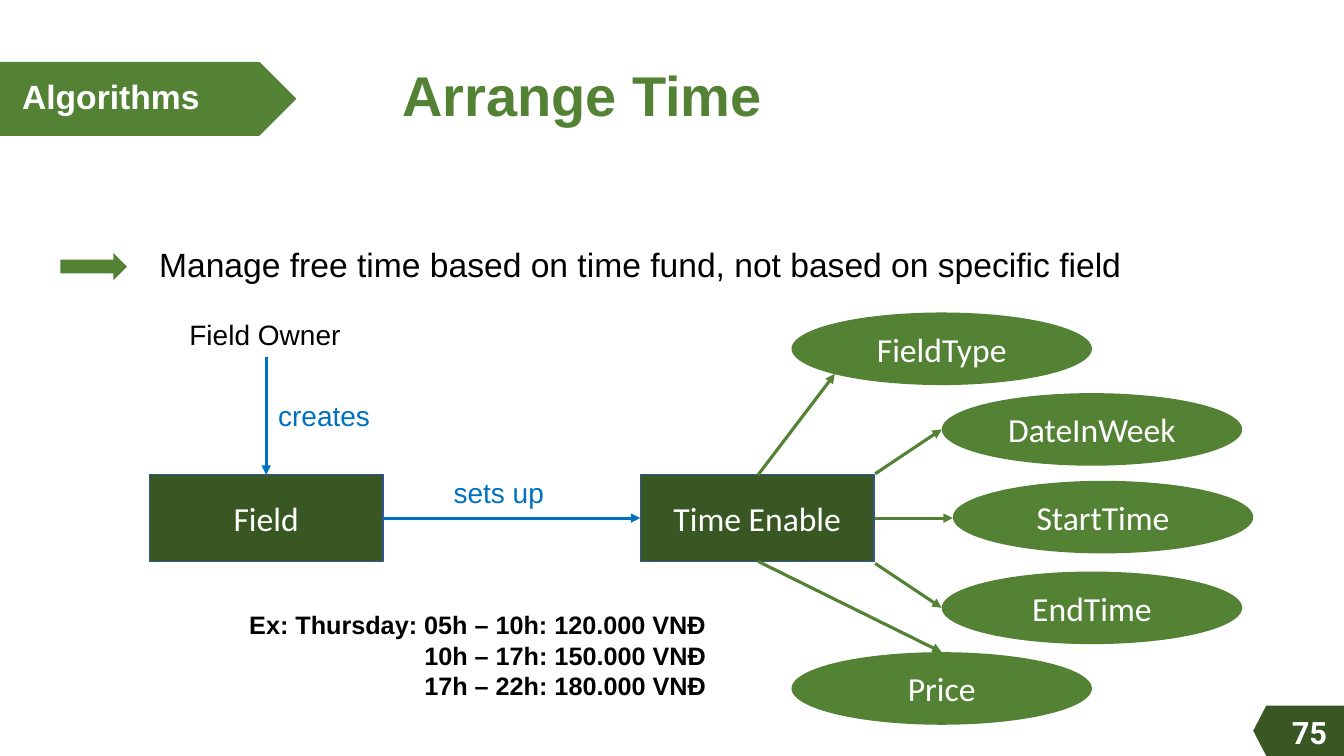
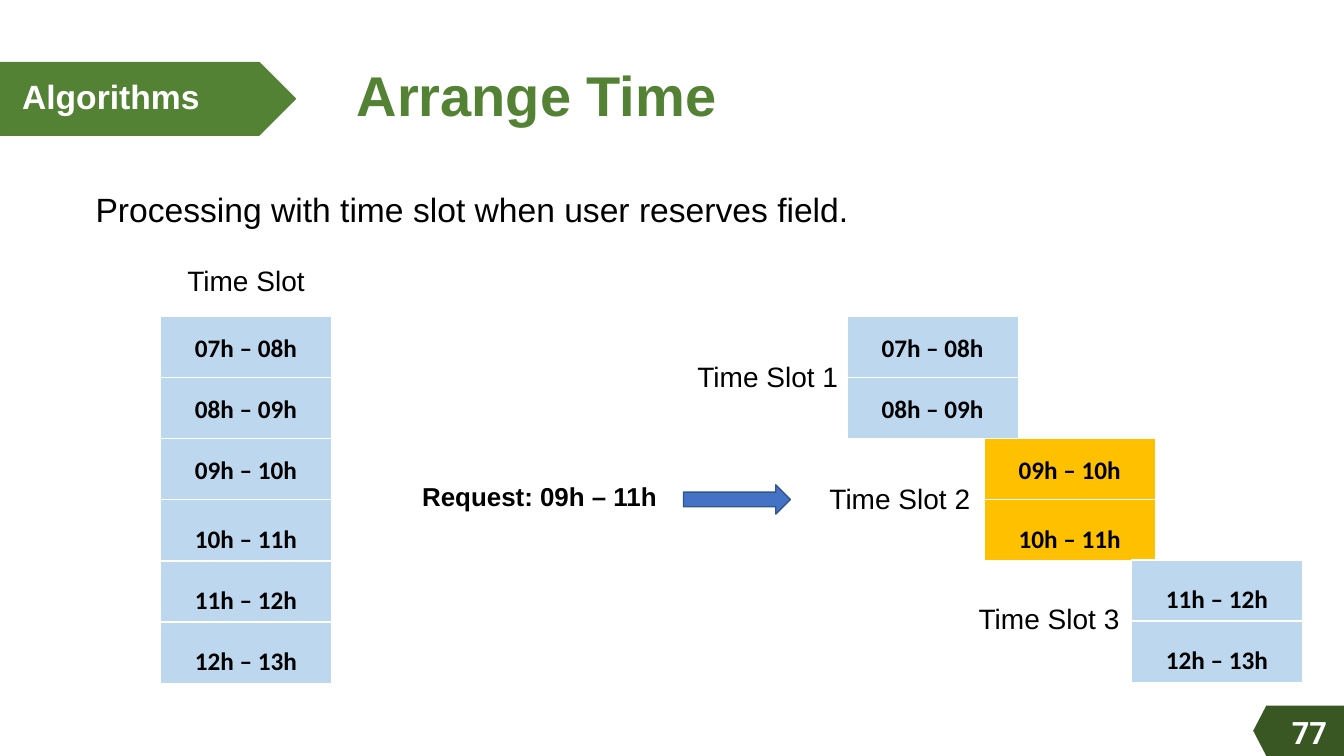
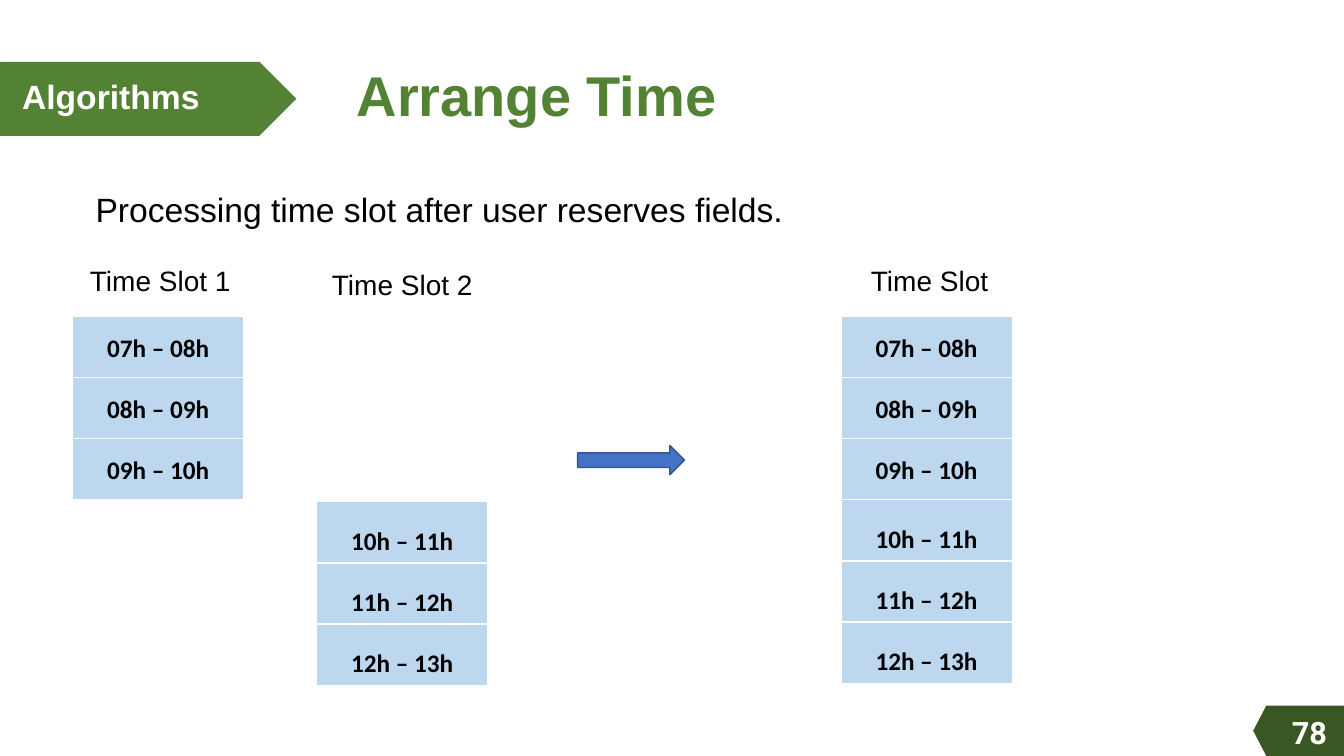
"""Build three slides on arranging time slots for field reservations."""
from pptx import Presentation
from pptx.dml.color import RGBColor
from pptx.enum.shapes import MSO_CONNECTOR, MSO_SHAPE
from pptx.enum.text import MSO_ANCHOR, PP_ALIGN
from pptx.oxml.ns import qn
from pptx.util import Inches, Pt
from lxml.etree import SubElement

GREEN, DARK, EDGE = "548235", "385723", "325491"
BLUE, ARROW_BLUE = "0070C0", "4472C4"
SLOT, BOOKED = "BDD7EE", "FFC000"
WHITE, BLACK = "FFFFFF", "000000"
FIRST_HOUR = 7
SLOT_TOP, SLOT_W, SLOT_H = 3.14, 1.7, 0.61
SLOT_PITCH = 3.03 / 5


def rgb(value):
    return RGBColor.from_string(value)


def write(sp, lines, size, color=BLACK, font="Arial", bold=False,
          align=PP_ALIGN.LEFT, anchor=MSO_ANCHOR.MIDDLE, spacing=None, wrap=True):
    tf = sp.text_frame
    tf.word_wrap = wrap
    tf.vertical_anchor = anchor
    tf.text = lines
    for p in tf.paragraphs:
        p.alignment = align
        p.line_spacing = spacing
        p.font.size = Pt(size)
        p.font.name = font
        p.font.bold = bold
        p.font.color.rgb = rgb(color)


def add_text(s, box, lines, size, **style):
    sp = s.shapes.add_textbox(*map(Inches, box))
    write(sp, lines, size, **style)


def paint(sp, fill, line=None):
    sp.shadow.inherit = False
    sp.fill.solid()
    sp.fill.fore_color.rgb = rgb(fill)
    if line:
        sp.line.color.rgb = rgb(line)
        sp.line.width = Pt(1)
    else:
        sp.line.fill.background()


def add_box(s, kind, box, fill, line=None):
    sp = s.shapes.add_shape(kind, *map(Inches, box))
    paint(sp, fill, line)
    return sp


def add_node(s, kind, box, label, fill, line=None):
    sp = add_box(s, kind, box, fill, line)
    write(sp, label, 24, color=WHITE, font="Calibri", align=PP_ALIGN.CENTER)


def add_arrow(s, start, end, color):
    cxn = s.shapes.add_connector(MSO_CONNECTOR.STRAIGHT, *map(Inches, start + end))
    cxn.line.color.rgb = rgb(color)
    cxn.line.width = Pt(2.25)
    SubElement(cxn.line._get_or_add_ln(), qn("a:tailEnd"), type="triangle")
    SubElement(cxn._element.spPr, qn("a:effectLst"))


def add_caption(s, left, top, text, width=SLOT_W, size=20, bold=False):
    add_text(s, (left, top, width, SLOT_H), text, size, bold=bold,
             align=PP_ALIGN.CENTER, spacing=0.9)


def add_slots(s, left, start, end, fill=SLOT, shift=0):
    for hour in range(start, end):
        top = SLOT_TOP + shift + (hour - FIRST_HOUR) * SLOT_PITCH
        sp = add_box(s, MSO_SHAPE.RECTANGLE, (left, top, SLOT_W, SLOT_H), fill, WHITE)
        write(sp, f"{hour:02}h – {hour + 1:02}h", 18, font="Calibri", bold=True,
              align=PP_ALIGN.CENTER)
        if hour >= 10:
            sp.text_frame.margin_top = Inches(0.21)


def add_statement(s, left, top, width, text):
    add_text(s, (left, top, width, 0.72), text, 24, spacing=0.9)


def add_block_arrow(s, left, top):
    add_box(s, MSO_SHAPE.RIGHT_ARROW, (left, top, 1.06, 0.29), ARROW_BLUE, EDGE)


def add_slide(prs, number, title_left):
    s = prs.slides.add_slide(prs.slide_layouts[6])
    tab = s.shapes.build_freeform(Inches(12.56), Inches(7), scale=1.0)
    corners = [(13.33, 7), (13.33, 7.5), (12.56, 7.5), (12.43, 7.25)]
    tab.add_line_segments([(Inches(x), Inches(y)) for x, y in corners], close=True)
    paint(tab.convert_to_shape(), DARK)
    add_text(s, (12.65, 7.03, 0.61, 0.47), str(number), 22, color=WHITE,
             font="Roboto", bold=True, align=PP_ALIGN.RIGHT, anchor=MSO_ANCHOR.TOP)
    banner = add_box(s, MSO_SHAPE.PENTAGON, (0, 0.62, 2.93, 0.72), GREEN, "538035")
    write(banner, "Algorithms", 24, color=WHITE, bold=True, spacing=0.9)
    banner.text_frame.margin_left = Inches(0.22)
    add_text(s, (title_left, 0.51, 7.26, 0.93), "Arrange Time", 40, color=GREEN,
             bold=True, spacing=0.9)
    return s


def build_model(prs):
    s = add_slide(prs, 75, 3.89)
    add_box(s, MSO_SHAPE.RIGHT_ARROW, (0.6, 2.51, 0.66, 0.27), GREEN)
    add_statement(s, 1.48, 2.28, 10.17,
                  "Manage free time based on time fund, not based on specific field")
    for left, label in [(1.48, "Field"), (6.35, "Time Enable")]:
        add_node(s, MSO_SHAPE.RECTANGLE, (left, 4.71, 2.32, 0.86), label, DARK, EDGE)
    attributes = [
        (7.85, 3.1, "FieldType", (7.52, 4.71), (8.28, 3.71)),
        (9.34, 3.9, "DateInWeek", (8.68, 4.7), (9.34, 4.26)),
        (9.45, 4.77, "StartTime", (8.68, 5.14), (9.45, 5.14)),
        (9.34, 5.67, "EndTime", (8.68, 5.59), (9.34, 6.03)),
        (7.85, 6.47, "Price", (7.52, 5.57), (9.34, 6.47)),
    ]
    for left, top, label, start, end in attributes:
        add_node(s, MSO_SHAPE.OVAL, (left, top, 2.98, 0.72), label, GREEN)
        add_arrow(s, start, end, GREEN)
    add_arrow(s, (2.64, 3.54), (2.64, 4.71), BLUE)
    add_arrow(s, (3.8, 5.14), (6.35, 5.14), BLUE)
    labels = [
        (1.78, 3.1, 1.71, "Field Owner", BLACK),
        (2.66, 3.9, 1.12, "creates", BLUE),
        (4.4, 4.67, 1.1, "sets up", BLUE),
    ]
    for left, top, width, text, color in labels:
        add_text(s, (left, top, width, 0.44), text, 20, color=color,
                 anchor=MSO_ANCHOR.TOP, wrap=False)
    prices = ["Ex: Thursday: 05h – 10h: 120.000 VNĐ",
              "10h – 17h: 150.000 VNĐ", "17h – 22h: 180.000 VNĐ"]
    add_text(s, (2.36, 6, 4.74, 1.01), "\n".join(prices), 18, bold=True,
             align=PP_ALIGN.RIGHT, anchor=MSO_ANCHOR.TOP)


def build_reserving(prs):
    s = add_slide(prs, 77, 3.44)
    add_statement(s, 0.85, 1.74, 7.9, "Processing with time slot when user reserves field.")
    add_caption(s, 1.59, 2.5, "Time Slot")
    add_slots(s, 1.59, 7, 13)
    add_caption(s, 4.03, 4.64, "Request: 09h – 11h", width=2.64, size=18.5, bold=True)
    add_block_arrow(s, 6.78, 4.81)
    add_slots(s, 8.4, 7, 9)
    add_slots(s, 9.76, 9, 11, fill=BOOKED)
    add_slots(s, 11.22, 11, 13, shift=-0.01)
    for i, (left, top) in enumerate([(6.81, 3.45), (8.12, 4.66), (9.6, 5.85)], 1):
        add_caption(s, left, top, f"Time Slot {i}", width=1.61)


def build_reserved(prs):
    s = add_slide(prs, 78, 3.44)
    add_statement(s, 0.85, 1.74, 7.9, "Processing time slot after user reserves fields.")
    add_caption(s, 0.74, 2.5, "Time Slot 1")
    add_slots(s, 0.72, 7, 10)
    add_caption(s, 3.14, 2.54, "Time Slot 2")
    add_slots(s, 3.14, 10, 13, shift=0.02)
    add_block_arrow(s, 5.73, 4.42)
    add_caption(s, 8.37, 2.5, "Time Slot")
    add_slots(s, 8.34, 7, 13)


def main():
    prs = Presentation()
    prs.slide_width, prs.slide_height = Inches(13.33), Inches(7.5)
    build_model(prs)
    build_reserving(prs)
    build_reserved(prs)
    prs.save("out.pptx")


if __name__ == "__main__":
    main()
